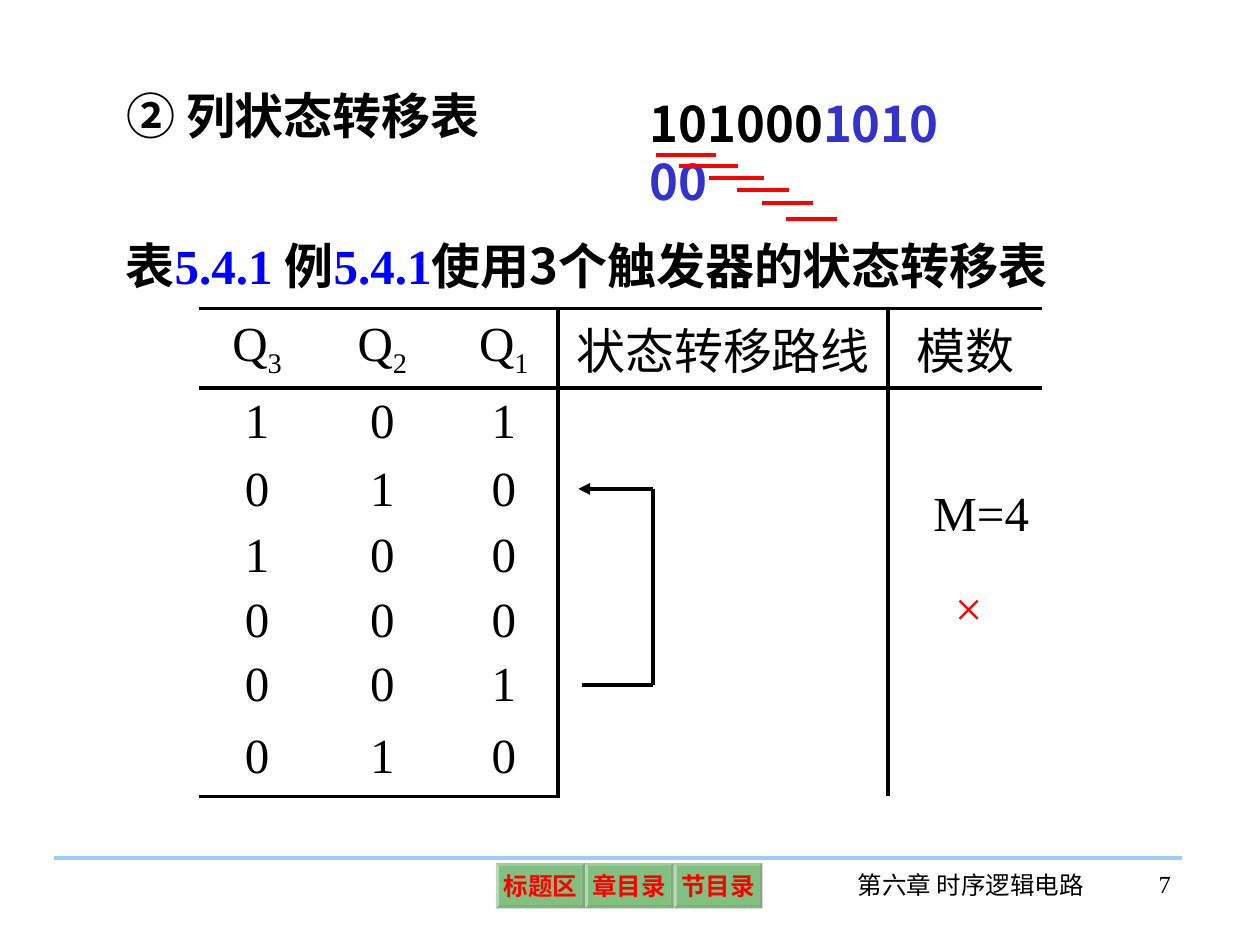
from lxml.etree import SubElement
from pptx import Presentation
from pptx.dml.color import RGBColor
from pptx.enum.shapes import MSO_CONNECTOR, MSO_SHAPE
from pptx.enum.text import MSO_ANCHOR, MSO_AUTO_SIZE, PP_ALIGN
from pptx.oxml import parse_xml
from pptx.oxml.ns import nsdecls, qn
from pptx.util import Pt

BLACK = RGBColor(0x00, 0x00, 0x00)
RED = RGBColor(0xFF, 0x00, 0x00)
BLUE = RGBColor(0x00, 0x00, 0xFF)
INDIGO = RGBColor(0x33, 0x33, 0xCC)
GREEN = RGBColor(0x00, 0x80, 0x00)
SKY = RGBColor(0x99, 0xCC, 0xFF)
SERIF = "Times New Roman"
SANS = "Noto Sans CJK SC"

HEADINGS = [("Q", "3"), ("Q", "2"), ("Q", "1"), ("状态转移路线", ""), ("模数", "")]
STATES = ["101", "010", "100", "000", "001", "010"]
COLUMN_WIDTHS = [66.2, 77, 61.9, 188.6, 88]
ROW_HEIGHTS = [45.4, 38.2, 39.6, 36.7, 36.7, 36.7, 45.4]
UNDERLINES = [
    (375.1, 88.6, 33.8),
    (388.1, 95, 33.8),
    (405.4, 101.5, 31),
    (421.2, 108.7, 29.5),
    (435.6, 115.9, 28.8),
    (449.3, 125.3, 28.8),
]


def add_run(paragraph, text, size=28, font=SERIF, color=BLACK, bold=False, subscript=False):
    run = paragraph.add_run()
    run.text = text
    run.font.size = Pt(size)
    run.font.name = font
    run.font.bold = bold
    run.font.color.rgb = color
    properties = run.font._element
    SubElement(properties, qn("a:ea")).set("typeface", SANS)
    if subscript:
        properties.set("baseline", "-25000")


def place(shape, left, top, width, height):
    shape.left, shape.top = Pt(left), Pt(top)
    shape.width, shape.height = Pt(width), Pt(height)


def add_text(slide, box, text, alignment=PP_ALIGN.LEFT, **style):
    shape = slide.shapes.add_textbox(*map(Pt, box))
    shape.text_frame.word_wrap = True
    paragraph = shape.text_frame.paragraphs[0]
    paragraph.alignment = alignment
    if text:
        add_run(paragraph, text, **style)
    return paragraph


def add_line(slide, start, end, color=BLACK, arrow=False):
    connector = slide.shapes.add_connector(
        MSO_CONNECTOR.STRAIGHT, *map(Pt, start), *map(Pt, end)
    )
    connector.line.color.rgb = color
    connector.line.width = Pt(2.25)
    if arrow:
        SubElement(connector.line._get_or_add_ln(), qn("a:tailEnd")).set("type", "triangle")
    SubElement(connector.element.spPr, qn("a:effectLst"))


def add_button(slide, left, label):
    shape = slide.shapes.add_shape(MSO_SHAPE.BEVEL, Pt(left), Pt(493.2), Pt(50.75), Pt(25.9))
    shape.adjustments[0] = 0.07
    shape.shadow.inherit = False
    shape.line.fill.background()
    shape.fill.solid()
    shape.fill.fore_color.rgb = GREEN
    color = shape.element.spPr.find(qn("a:solidFill"))[0]
    SubElement(color, qn("a:alpha")).set("val", "49000")
    frame = shape.text_frame
    frame.word_wrap = False
    frame.vertical_anchor = MSO_ANCHOR.MIDDLE
    frame.margin_left = frame.margin_right = Pt(3)
    frame.margin_top = frame.margin_bottom = Pt(3)
    paragraph = frame.paragraphs[0]
    paragraph.alignment = PP_ALIGN.CENTER
    add_run(paragraph, label, size=14, color=RED, bold=True)


def set_borders(cell, visible):
    properties = cell._tc.get_or_add_tcPr()
    for index, (side, shown) in enumerate(visible.items()):
        fill = f'<a:solidFill><a:srgbClr val="{BLACK}"/></a:solidFill>' if shown else "<a:noFill/>"
        width = int(Pt(2.25)) if shown else 0
        border = parse_xml(f'<a:ln{side} {nsdecls("a")} w="{width}">{fill}</a:ln{side}>')
        properties.insert(index, border)


def add_state_table(slide):
    last_row = len(STATES)
    frame = slide.shapes.add_table(
        last_row + 1, len(HEADINGS), Pt(113.8), Pt(176.4),
        Pt(sum(COLUMN_WIDTHS)), Pt(sum(ROW_HEIGHTS)),
    )
    table = frame.table
    table.first_row = table.horz_banding = False
    for column, width in zip(table.columns, COLUMN_WIDTHS):
        column.width = Pt(width)
    rows = [HEADINGS] + [[(digit, "") for digit in state] + [("", "")] * 2 for state in STATES]
    for row_index, row in enumerate(rows):
        table.rows[row_index].height = Pt(ROW_HEIGHTS[row_index])
        for column_index, (text, subscript) in enumerate(row):
            cell = table.cell(row_index, column_index)
            cell.fill.background()
            cell.vertical_anchor = MSO_ANCHOR.MIDDLE
            cell.margin_left = cell.margin_right = Pt(3)
            cell.margin_top = cell.margin_bottom = Pt(1.4)
            set_borders(cell, {
                "L": column_index in (3, 4),
                "R": column_index in (2, 3),
                "T": row_index in (0, 1),
                "B": row_index in (0, last_row),
            })
            paragraph = cell.text_frame.paragraphs[0]
            paragraph.alignment = PP_ALIGN.CENTER
            if text:
                add_run(paragraph, text)
            if subscript:
                add_run(paragraph, subscript, subscript=True)
    for column_index in (3, 4):
        table.cell(1, column_index).merge(table.cell(last_row, column_index))


def add_title(slide):
    title = slide.shapes.title
    place(title, 64.8, 45.4, 230.4, 41)
    frame = title.text_frame
    frame.auto_size = MSO_AUTO_SIZE.NONE
    frame.vertical_anchor = MSO_ANCHOR.TOP
    paragraph = frame.paragraphs[0]
    paragraph.alignment = PP_ALIGN.LEFT
    add_run(paragraph, "② 列状态转移表", font=SANS, bold=True)


def add_sequence(slide):
    paragraph = add_text(slide, (364.3, 49.7, 193.7, 74.9), "101000", font=SANS, bold=True)
    add_run(paragraph, "101000", font=SANS, color=INDIGO, bold=True)
    for left, top, width in UNDERLINES:
        add_line(slide, (left, top), (left + width, top), RED)


def add_caption(slide):
    paragraph = add_text(slide, (64.8, 131, 584.6, 41), "")
    for text, font, color in [
        ("表", SANS, BLACK),
        ("5.4.1 ", SERIF, BLUE),
        ("例", SANS, BLACK),
        ("5.4.1", SERIF, BLUE),
        ("使用3个触发器的状态转移表", SANS, BLACK),
    ]:
        add_run(paragraph, text, font=font, color=color, bold=True)


def add_transition_route(slide):
    corners = [(332.6, 391.7), (373, 391.7), (373, 279.4), (330.5, 279.4)]
    for start, end in zip(corners, corners[1:]):
        add_line(slide, start, end, arrow=end == corners[-1])


def add_footer(slide):
    add_line(slide, (31, 490.3), (675.4, 490.3), SKY)
    add_text(slide, (479.5, 493.9, 150.5, 36), "第六章 时序逻辑电路", PP_ALIGN.CENTER, size=14)
    add_text(slide, (614.2, 493.2, 61.9, 36), "7", PP_ALIGN.RIGHT, size=14)
    for index, label in enumerate(["标题区", "章目录", "节目录"]):
        add_button(slide, 283.5 + 50.75 * index, label)


def main():
    presentation = Presentation()
    presentation.slide_width, presentation.slide_height = Pt(720), Pt(540)
    slide = presentation.slides.add_slide(presentation.slide_layouts[5])
    add_title(slide)
    add_sequence(slide)
    add_caption(slide)
    add_state_table(slide)
    add_transition_route(slide)
    add_text(slide, (526.3, 272.2, 69.1, 41), "M=4")
    add_text(slide, (538.6, 326.2, 49, 41), "×", color=RED)
    add_footer(slide)
    presentation.save("out.pptx")


if __name__ == "__main__":
    main()
